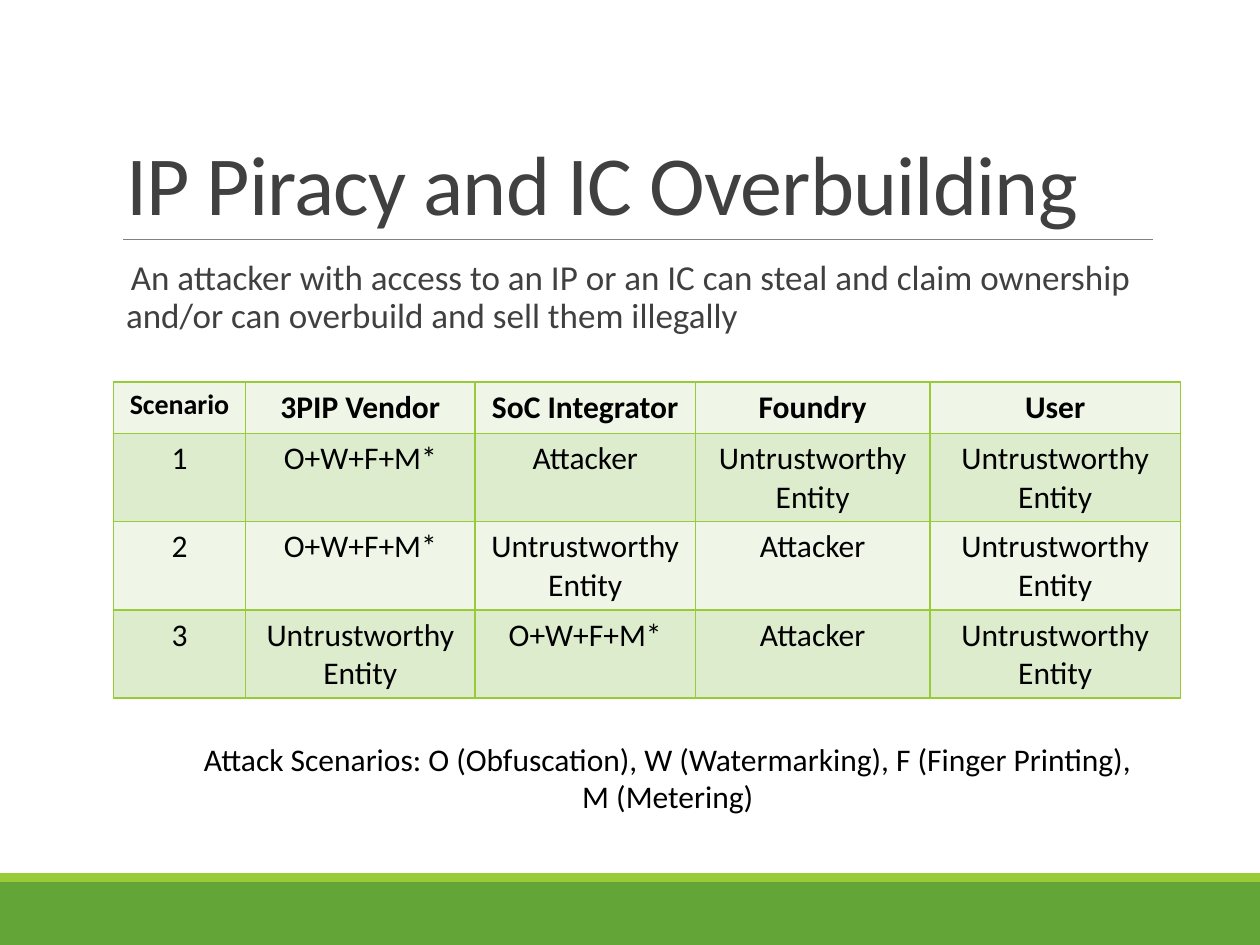
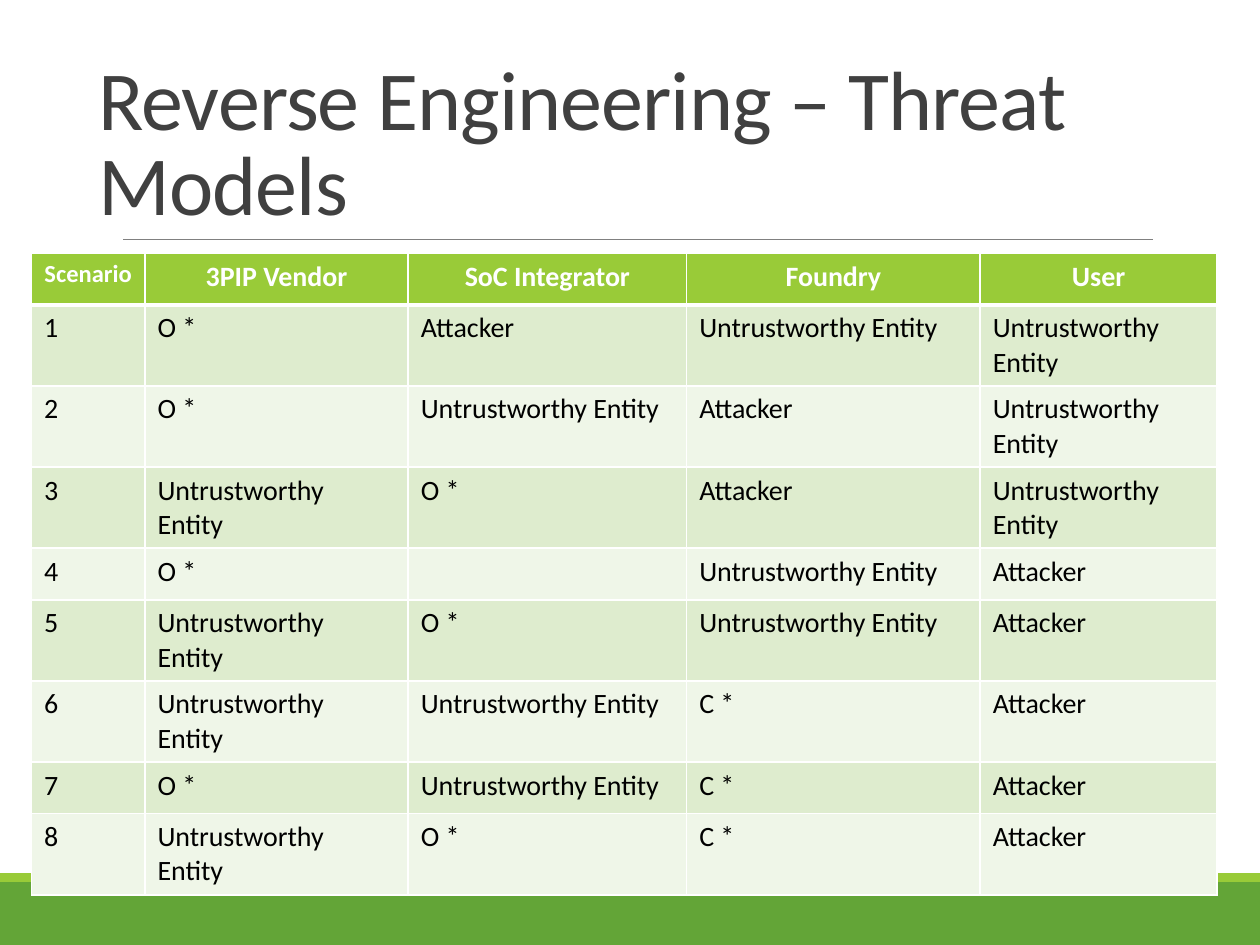
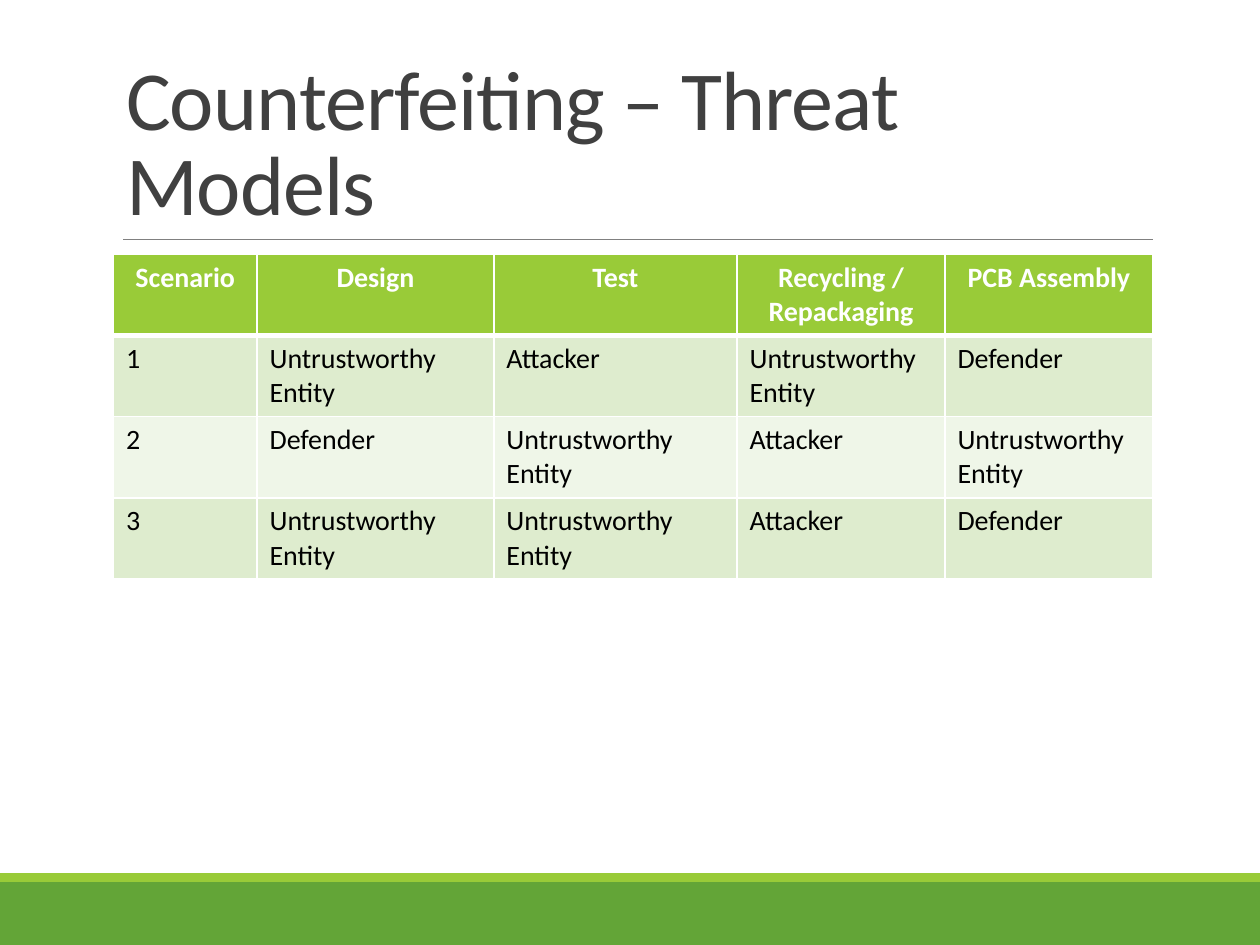
from dataclasses import dataclass

from lxml.etree import SubElement
from pptx import Presentation
from pptx.dml.color import RGBColor
from pptx.enum.shapes import MSO_CONNECTOR, MSO_SHAPE
from pptx.enum.text import MSO_ANCHOR, MSO_AUTO_SIZE, PP_ALIGN
from pptx.oxml import parse_xml
from pptx.oxml.ns import nsdecls, qn
from pptx.util import Inches, Pt


@dataclass(frozen=True)
class Theme:
    font: str = "Calibri"
    heading: str = "404040"
    text: str = "000000"
    white: str = "FFFFFF"
    rule: str = "808080"
    green: str = "63A537"
    lime: str = "99CB38"
    dark_row: str = "DEECCE"
    light_row: str = "EFF6E8"
    title_size: int = 48
    body_size: int = 20
    large_size: int = 18
    medium_size: int = 16
    small_size: int = 14


@dataclass(frozen=True)
class Box:
    left: float
    top: float
    width: float
    height: float

    def lengths(self):
        return [Inches(value) for value in (self.left, self.top, self.width, self.height)]


@dataclass(frozen=True)
class TableStyle:
    header_fill: str
    header_color: str
    border: str
    header_rule: float
    header_size: int
    scenario_size: int
    body_size: int
    body_alignment: PP_ALIGN


THEME = Theme()
PAGE = Box(0, 0, 10, 7.5)
TITLE = Box(0.9, 0.31, 8.25, 1.59)
ROW_HEIGHT = 0.41
UNTRUSTED = "Untrustworthy Entity"
ATTACKER = "Attacker"
DEFENDER = "Defender"
ALL_MEASURES = "O+W+F+M*"
SUPPLY_CHAIN = ["Scenario", "3PIP Vendor", "SoC Integrator", "Foundry", "User"]

OUTLINED = TableStyle(THEME.light_row, THEME.text, THEME.lime, 1, THEME.large_size,
                      THEME.medium_size, THEME.large_size, PP_ALIGN.CENTER)
THREATS = TableStyle(THEME.lime, THEME.white, THEME.white, 3, THEME.medium_size,
                     THEME.small_size, THEME.medium_size, PP_ALIGN.LEFT)
COUNTERFEITS = TableStyle(THEME.lime, THEME.white, THEME.white, 3, THEME.medium_size,
                          THEME.medium_size, THEME.medium_size, PP_ALIGN.LEFT)


def format_runs(paragraph, size, color, bold=False):
    for run in paragraph.runs:
        run.font.name = THEME.font
        run.font.size = Pt(size)
        run.font.bold = bold
        run.font.color.rgb = RGBColor.from_string(color)


def add_band(slide, box, color):
    band = slide.shapes.add_shape(MSO_SHAPE.RECTANGLE, *box.lengths())
    band.shadow.inherit = False
    band.fill.solid()
    band.fill.fore_color.rgb = RGBColor.from_string(color)
    band.line.fill.background()


def add_frame(slide, page):
    footer_top = page.top + page.height - 0.5
    add_band(slide, Box(page.left, footer_top, page.width, 0.5), THEME.green)
    add_band(slide, Box(page.left, footer_top - 0.07, page.width, 0.07), THEME.lime)
    rule_top = Inches(page.top + 1.9)
    rule = slide.shapes.add_connector(
        MSO_CONNECTOR.STRAIGHT, Inches(page.left + 0.98), rule_top,
        Inches(page.left + 9.15), rule_top)
    rule.line.color.rgb = RGBColor.from_string(THEME.rule)
    rule.line.width = Pt(0.5)
    SubElement(rule._element.spPr, qn("a:effectLst"))


def set_title(slide, box, text):
    title = slide.shapes.title
    title.left, title.top, title.width, title.height = box.lengths()
    text_frame = title.text_frame
    text_frame.text = text
    text_frame.word_wrap = True
    text_frame.auto_size = MSO_AUTO_SIZE.NONE
    text_frame.vertical_anchor = MSO_ANCHOR.BOTTOM
    paragraph = text_frame.paragraphs[0]
    paragraph.alignment = PP_ALIGN.LEFT
    paragraph.line_spacing = 0.85
    format_runs(paragraph, THEME.title_size, THEME.heading)
    for run in paragraph.runs:
        run._r.get_or_add_rPr().set("spc", "-50")


def add_text(slide, box, text, size, color):
    text_frame = slide.shapes.add_textbox(*box.lengths()).text_frame
    text_frame.word_wrap = True
    text_frame.text = text
    paragraph = text_frame.paragraphs[0]
    format_runs(paragraph, size, color)
    return text_frame, paragraph


def add_statement(slide, box, text):
    text_frame, paragraph = add_text(slide, box, text, THEME.body_size, THEME.heading)
    text_frame.margin_left = text_frame.margin_right = 0
    properties = paragraph._p.get_or_add_pPr()
    properties.set("marL", str(Inches(0.1)))
    properties.set("indent", str(-Inches(0.1)))
    SubElement(properties, qn("a:buChar"), char=" ")
    paragraph.line_spacing = 0.9
    paragraph.space_after = Pt(2)


def add_caption(slide, box, text):
    paragraph = add_text(slide, box, text, THEME.large_size, THEME.text)[1]
    paragraph.alignment = PP_ALIGN.CENTER


def set_borders(cell, color, top, bottom):
    properties = cell._tc.get_or_add_tcPr()
    widths = {"lnL": 1, "lnR": 1, "lnT": top, "lnB": bottom}
    for position, (side, width) in enumerate(widths.items()):
        properties.insert(position, parse_xml(
            f'<a:{side} {nsdecls("a")} w="{Pt(width)}"><a:solidFill>'
            f'<a:srgbClr val="{color}"/></a:solidFill></a:{side}>'))


def fill_cell(cell, text, row, column, style):
    header = row == 0
    if header:
        fill, color, alignment = style.header_fill, style.header_color, PP_ALIGN.CENTER
        size = style.header_size if column else style.scenario_size
    else:
        fill = THEME.dark_row if row % 2 else THEME.light_row
        color, alignment, size = THEME.text, style.body_alignment, style.body_size
    cell.fill.solid()
    cell.fill.fore_color.rgb = RGBColor.from_string(fill)
    set_borders(cell, style.border,
                top=style.header_rule if row == 1 else 1,
                bottom=style.header_rule if header else 1)
    if text:
        cell.text = text
        paragraph = cell.text_frame.paragraphs[0]
        paragraph.alignment = alignment
        format_runs(paragraph, size, color, bold=header)


def add_scenarios(slide, box, widths, headers, scenarios, style):
    rows = [headers] + [[str(number), *roles] for number, roles in enumerate(scenarios, 1)]
    table = slide.shapes.add_table(len(rows), len(headers), *box.lengths()).table
    table.horz_banding = False
    for column, width in zip(table.columns, widths):
        column.width = Inches(width)
    for row_index, values in enumerate(rows):
        table.rows[row_index].height = Inches(ROW_HEIGHT)
        for column_index, text in enumerate(values):
            fill_cell(table.cell(row_index, column_index), text, row_index, column_index, style)


def add_titled_slide(presentation, title, box=TITLE):
    slide = presentation.slides.add_slide(presentation.slide_layouts[5])
    add_frame(slide, PAGE)
    set_title(slide, box, title)
    return slide


def build_piracy(presentation):
    slide = add_titled_slide(presentation, "IP Piracy and IC Overbuilding")
    add_statement(slide, Box(0.9, 2.02, 8.25, 0.9),
                  "An attacker with access to an IP or an IC can steal and claim ownership "
                  "and/or can overbuild and sell them illegally")
    scenarios = [
        [ALL_MEASURES, ATTACKER, UNTRUSTED, UNTRUSTED],
        [ALL_MEASURES, UNTRUSTED, ATTACKER, UNTRUSTED],
        [UNTRUSTED, ALL_MEASURES, ATTACKER, UNTRUSTED],
    ]
    add_scenarios(slide, Box(0.9, 3.03, 8.47, 1.64), [1.05, 1.82, 1.75, 1.86, 1.99],
                  SUPPLY_CHAIN, scenarios, OUTLINED)
    add_caption(slide, Box(1.45, 5.82, 7.7, 0.71),
                "Attack Scenarios: O (Obfuscation), W (Watermarking), "
                "F (Finger Printing), M (Metering)")


def build_reverse_engineering(presentation):
    slide = add_titled_slide(presentation, "Reverse Engineering – Threat Models",
                             Box(0.68, TITLE.top, TITLE.width, TITLE.height))
    scenarios = [
        ["O *", ATTACKER, UNTRUSTED, UNTRUSTED],
        ["O *", UNTRUSTED, ATTACKER, UNTRUSTED],
        [UNTRUSTED, "O *", ATTACKER, UNTRUSTED],
        ["O *", "", UNTRUSTED, ATTACKER],
        [UNTRUSTED, "O *", UNTRUSTED, ATTACKER],
        [UNTRUSTED, UNTRUSTED, "C *", ATTACKER],
        ["O *", UNTRUSTED, "C *", ATTACKER],
        [UNTRUSTED, "O *", "C *", ATTACKER],
    ]
    add_scenarios(slide, Box(0.25, 2.01, 9.41, 3.69), [0.9, 2.09, 2.21, 2.33, 1.88],
                  SUPPLY_CHAIN, scenarios, THREATS)


def build_counterfeiting(presentation):
    slide = add_titled_slide(presentation, "Counterfeiting – Threat Models")
    headers = ["Scenario", "Design", "Test", "Recycling / Repackaging", "PCB Assembly"]
    scenarios = [
        [UNTRUSTED, ATTACKER, UNTRUSTED, DEFENDER],
        [DEFENDER, UNTRUSTED, ATTACKER, UNTRUSTED],
        [UNTRUSTED, UNTRUSTED, ATTACKER, DEFENDER],
    ]
    add_scenarios(slide, Box(0.9, 2.02, 8.25, 1.64), [1.14, 1.88, 1.93, 1.65, 1.65],
                  headers, scenarios, COUNTERFEITS)


def main():
    presentation = Presentation()
    presentation.slide_width = Inches(PAGE.width)
    presentation.slide_height = Inches(PAGE.height)
    build_piracy(presentation)
    build_reverse_engineering(presentation)
    build_counterfeiting(presentation)
    presentation.save("out.pptx")


if __name__ == "__main__":
    main()
